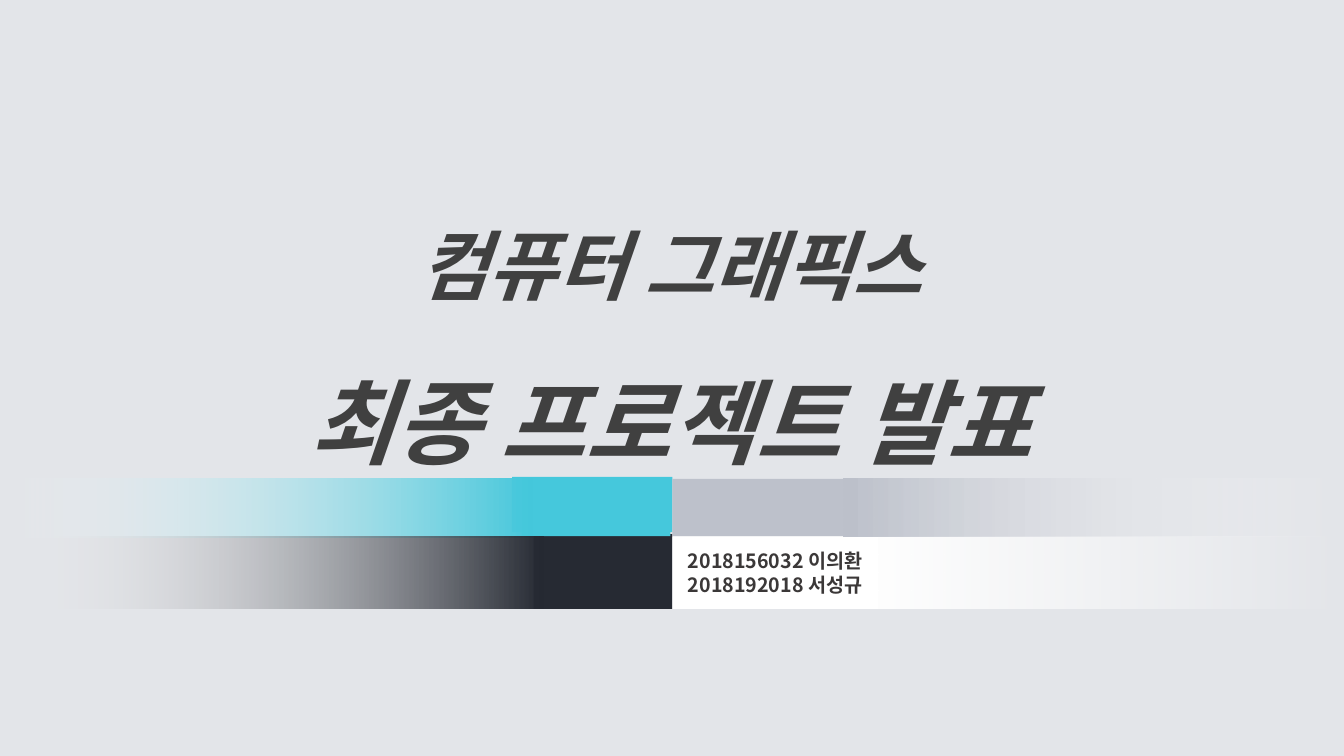
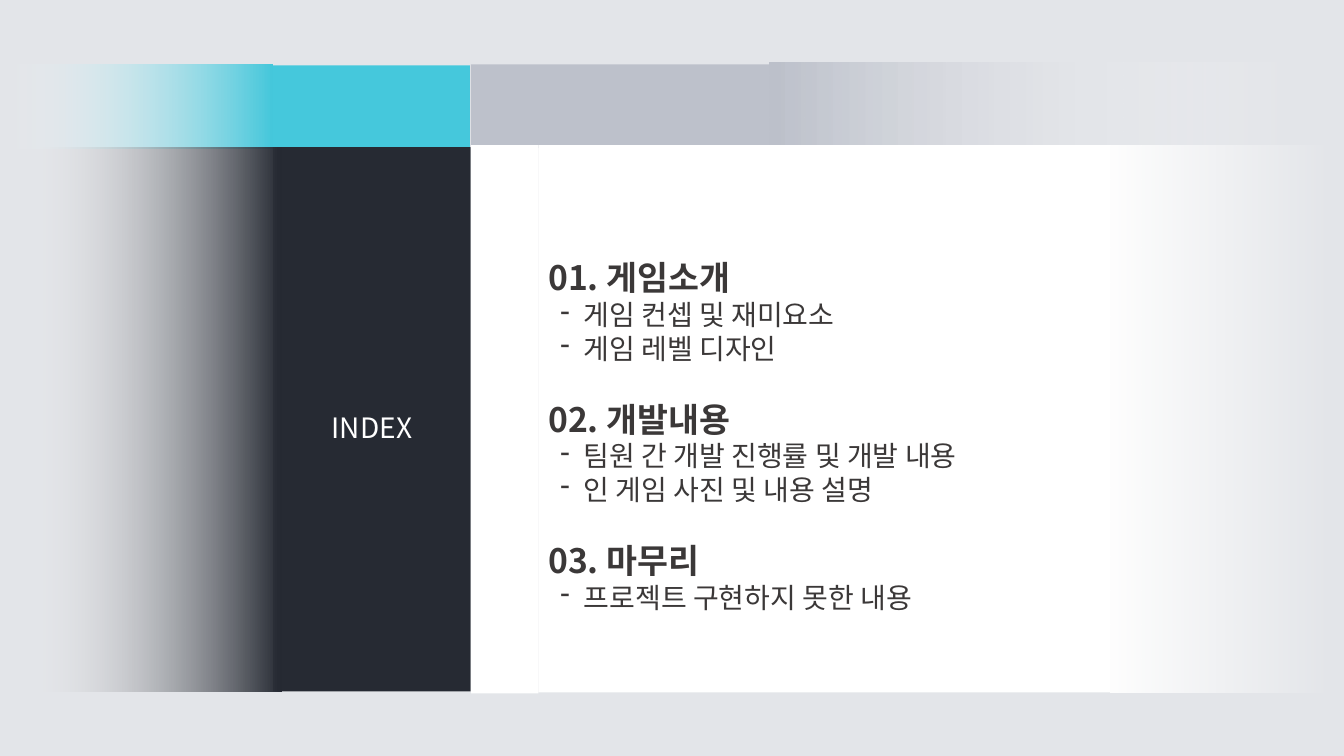
"""Build the title and index slides of a computer graphics project talk."""
import dataclasses

import pptx
import pptx.dml.color
import pptx.enum.shapes
import pptx.enum.text
import pptx.oxml.xmlchemy
import pptx.util
from pptx.util import Inches

ALIGN = pptx.enum.text.PP_ALIGN
ANCHOR = pptx.enum.text.MSO_ANCHOR


@dataclasses.dataclass(frozen=True)
class Theme:
    """Colours, font and type sizes shared by the slides."""

    backdrop: str = "E3E5E9"
    cyan: str = "45C8DC"
    dark: str = "262A33"
    silver: str = "BDC1CB"
    white: str = "FFFFFF"
    title: str = "404040"
    body: str = "3B3838"
    font: str = "Noto Sans CJK KR"
    subject_size: int = 54
    title_size: int = 66
    heading_size: int = 24
    item_size: int = 20
    author_size: int = 14


THEME = Theme()
RIGHTWARD, LEFTWARD = 0, 180


def rgb(colour):
    """Return a colour object for a hex string."""
    return pptx.dml.color.RGBColor.from_string(colour)


def apply_format(target, values):
    """Set each named attribute on the target."""
    for name, value in values.items():
        setattr(target, name, value)


def append_element(parent, tag, **attributes):
    """Append a drawing element with the given attributes."""
    element = pptx.oxml.xmlchemy.OxmlElement(tag)
    for name, value in attributes.items():
        element.set(name, value)
    parent.append(element)


def add_block(slide, box, colour):
    """Add a plain filled rectangle without outline or shadow."""
    block = slide.shapes.add_shape(
        pptx.enum.shapes.MSO_SHAPE.RECTANGLE, *map(Inches, box))
    block.shadow.inherit = False
    block.line.fill.background()
    block.fill.solid()
    block.fill.fore_color.rgb = rgb(colour)
    return block


def add_fade(slide, box, colour, angle):
    """Add a rectangle that fades from a colour to clear white."""
    fade = add_block(slide, box, colour)
    fade.fill.gradient()
    fade.fill.gradient_angle = angle
    stops = zip(fade.fill.gradient_stops, (colour, THEME.white), (0, 1))
    for stop, stop_colour, position in stops:
        stop.color.rgb = rgb(stop_colour)
        stop.position = position
    clear_end = fade._element.xpath(".//a:gs[last()]/a:srgbClr")[0]
    append_element(clear_end, "a:alpha", val="0")


def add_line(frame, text, size, colour, paragraph_format, **font_format):
    """Write one paragraph into the frame, reusing its empty first one."""
    first = frame.paragraphs[0]
    paragraph = frame.add_paragraph() if first.runs else first
    apply_format(paragraph, paragraph_format)
    run = paragraph.add_run()
    run.text = text
    apply_format(run.font, {"name": THEME.font, "size": pptx.util.Pt(size),
                            **font_format})
    run.font.color.rgb = rgb(colour)
    append_element(run._r.get_or_add_rPr(), "a:ea", typeface=THEME.font)
    return paragraph


def add_dash(paragraph):
    """Give the paragraph a hanging dash bullet."""
    properties = paragraph._p.get_or_add_pPr()
    properties.set("marL", str(Inches(0.35)))
    properties.set("indent", str(Inches(-0.23)))
    append_element(properties, "a:buChar", char="-")


def build_title(slide):
    """Build the opening slide with its crossing bands."""
    add_block(slide, (5.08, 4.73, 1.59, 0.55), THEME.cyan)
    add_block(slide, (5.29, 5.3, 1.38, 0.74), THEME.dark)
    add_block(slide, (6.67, 4.75, 1.84, 0.57), THEME.silver)
    authors = add_block(slide, (6.67, 5.32, 2.04, 0.72), THEME.white).text_frame
    apply_format(authors, {"word_wrap": True, "vertical_anchor": ANCHOR.MIDDLE})
    for author in ("2018156032 이의환", "2018192018 서성규"):
        add_line(authors, author, THEME.author_size, THEME.body,
                 {"alignment": ALIGN.CENTER}, bold=True)

    heading = slide.shapes.add_textbox(
        *map(Inches, (1.97, 1.67, 9.36, 2.92))).text_frame
    heading.word_wrap = True
    for text, size in (("컴퓨터 그래픽스", THEME.subject_size),
                       ("최종 프로젝트 발표", THEME.title_size)):
        add_line(heading, text, size, THEME.title,
                 {"alignment": ALIGN.CENTER, "line_spacing": 1.5},
                 bold=True, italic=True)

    add_fade(slide, (8.71, 5.32, 4.63, 0.72), THEME.white, RIGHTWARD)
    add_fade(slide, (8.37, 4.75, 4.96, 0.57), THEME.silver, RIGHTWARD)
    add_block(slide, (5.17, 4.87, 1.48, 0.45), THEME.cyan)
    add_fade(slide, (-0.01, 4.75, 5.29, 0.58), THEME.cyan, LEFTWARD)
    add_fade(slide, (-0.01, 5.32, 5.4, 0.72), THEME.dark, LEFTWARD)


def build_index(slide):
    """Build the index slide with its three chapters."""
    add_block(slide, (2.7, 0.65, 1.96, 0.83), THEME.cyan)
    label = add_block(slide, (2.71, 1.46, 1.96, 5.4), THEME.dark).text_frame
    apply_format(label, {"word_wrap": True, "vertical_anchor": ANCHOR.MIDDLE})
    add_line(label, "INDEX", THEME.item_size, THEME.white,
             {"alignment": ALIGN.CENTER, "line_spacing": 1.5})
    add_block(slide, (4.67, 0.64, 2.96, 0.83), THEME.silver)

    contents = add_block(slide, (5.34, 1.44, 5.67, 5.43), THEME.white).text_frame
    apply_format(contents, {"word_wrap": True, "vertical_anchor": ANCHOR.MIDDLE,
                            "margin_top": Inches(0.38)})
    chapters = {
        "01. 게임소개": ("게임 컨셉 및 재미요소", "게임 레벨 디자인"),
        "02. 개발내용": ("팀원 간 개발 진행률 및 개발 내용",
                     "인 게임 사진 및 내용 설명"),
        "03. 마무리": ("프로젝트 구현하지 못한 내용",),
    }
    for number, (chapter, items) in enumerate(chapters.items()):
        gap = pptx.util.Pt(24 if number else 0)
        add_line(contents, chapter, THEME.heading_size, THEME.body,
                 {"alignment": ALIGN.JUSTIFY, "space_before": gap}, bold=True)
        for item in items:
            add_dash(add_line(contents, item, THEME.item_size, THEME.body,
                              {"alignment": ALIGN.JUSTIFY}))

    add_fade(slide, (11.01, 1.44, 2.2, 5.43), THEME.white, RIGHTWARD)
    add_fade(slide, (7.63, 0.62, 5.26, 0.81), THEME.silver, RIGHTWARD)
    add_fade(slide, (0.04, 0.64, 2.66, 0.83), THEME.cyan, LEFTWARD)
    add_fade(slide, (0.13, 1.46, 2.66, 5.4), THEME.dark, LEFTWARD)
    add_block(slide, (4.67, 1.44, 0.67, 5.44), THEME.white)


def main():
    """Create the presentation and save it."""
    deck = pptx.Presentation()
    apply_format(deck, {"slide_width": Inches(13.33), "slide_height": Inches(7.5)})
    backdrop = deck.slide_master.background.fill
    backdrop.solid()
    backdrop.fore_color.rgb = rgb(THEME.backdrop)
    for build in (build_title, build_index):
        build(deck.slides.add_slide(deck.slide_layouts[6]))
    deck.save("out.pptx")


if __name__ == "__main__":
    main()
